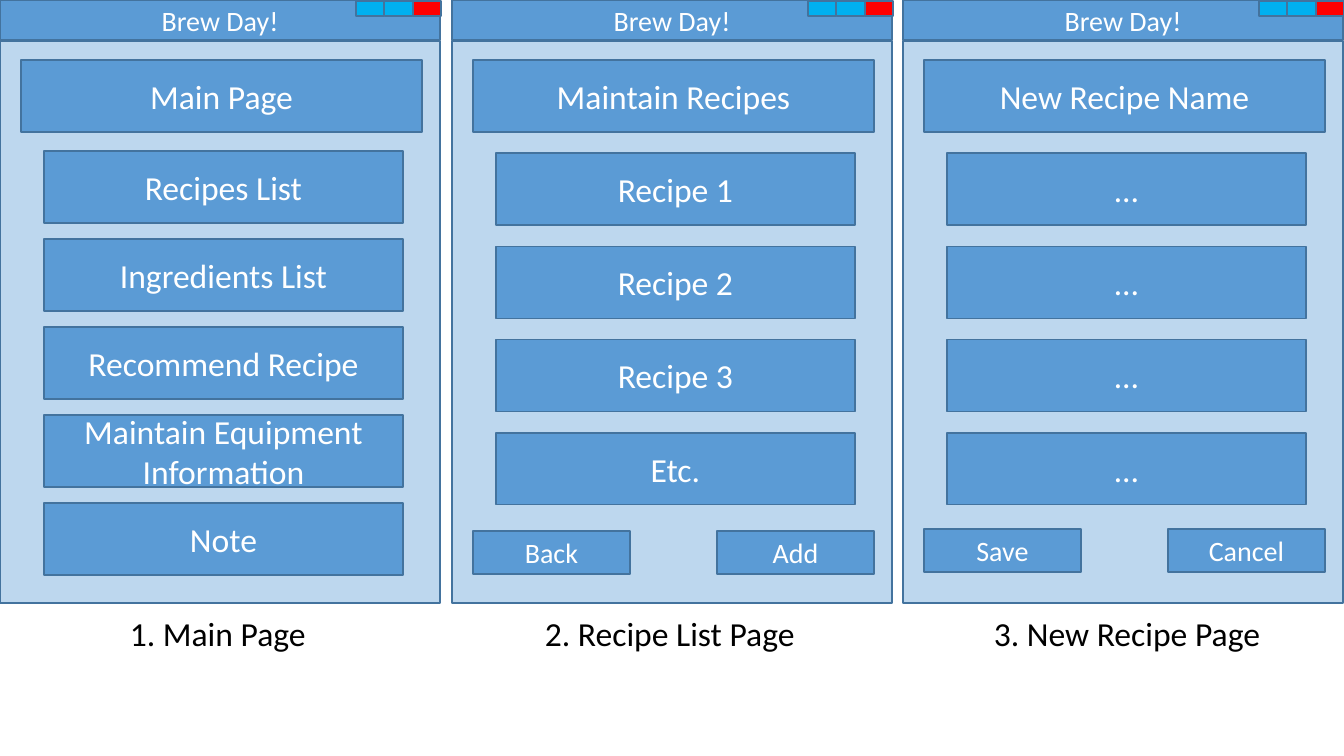
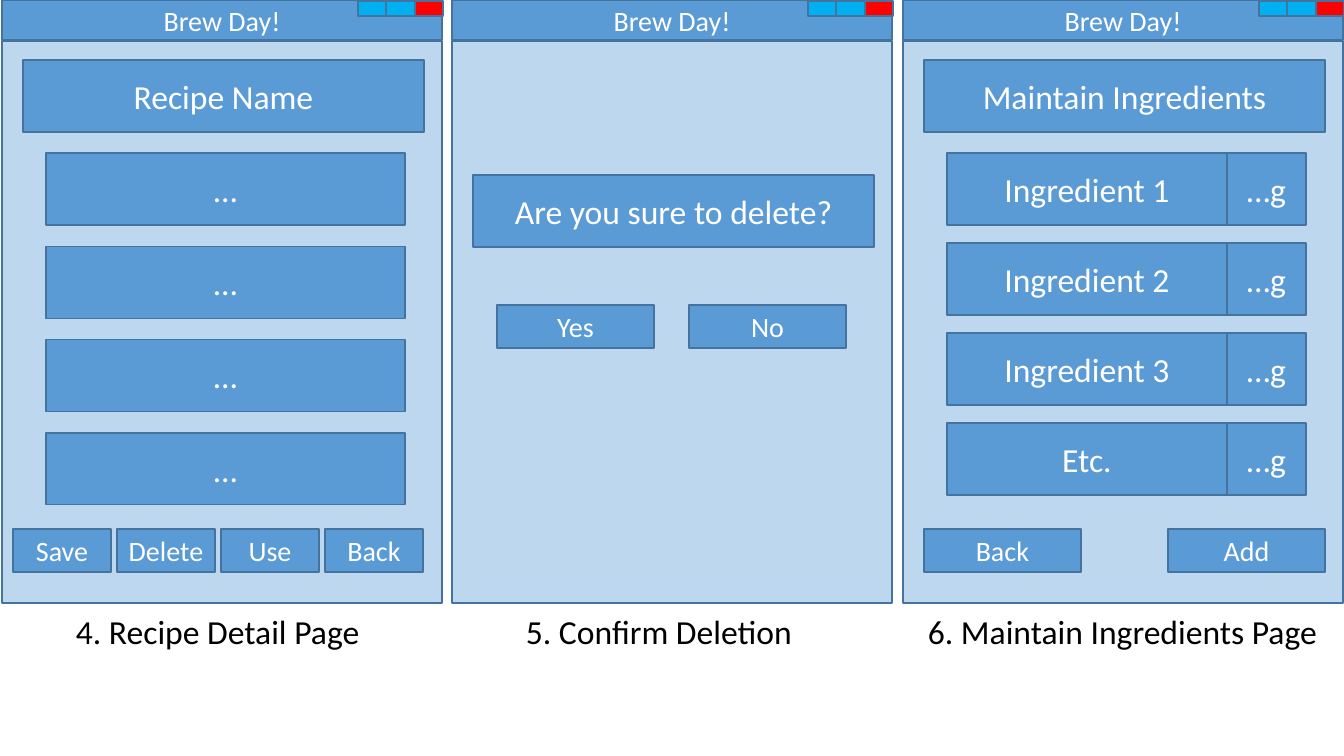
from pptx import Presentation
from pptx.dml.color import RGBColor
from pptx.enum.shapes import MSO_SHAPE
from pptx.enum.text import MSO_ANCHOR, PP_ALIGN
from pptx.util import Emu, Pt

# Shared style
FONT = "Calibri"
BLUE, PALE, OUTLINE = "5B9BD5", "BDD7EE", "43739E"
CYAN, RED, WHITE, BLACK = "00B0F0", "FF0000", "FFFFFF", "000000"
LARGE, SMALL = 24, 20

# Shared page geometry, in pixels
PAGE_WIDTH = 440
HEADING_LEFT, HEADING_WIDTH = 21, 401
ROW_LEFT, ROW_WIDTH, BOX_HEIGHT = 44, 359, 72
AMOUNT_WIDTH = 79
BUTTON_WIDTH, BUTTON_HEIGHT = 157, 43


def px(value):
    return Emu(round(value * 914400 / 100.8))


def color(hex_string):
    return RGBColor.from_string(hex_string)


def write(shape, text, size, text_color, align):
    frame = shape.text_frame
    frame.word_wrap = True
    frame.text = text
    paragraph = frame.paragraphs[0]
    paragraph.alignment = align
    font = paragraph.runs[0].font
    font.name = FONT
    font.size = Pt(size)
    font.color.rgb = color(text_color)


def add_box(slide, left, top, width, height, text="", size=LARGE, fill=BLUE):
    shape = slide.shapes.add_shape(
        MSO_SHAPE.RECTANGLE, px(left), px(top), px(width), px(height))
    shape.shadow.inherit = False
    shape.fill.solid()
    shape.fill.fore_color.rgb = color(fill)
    shape.line.color.rgb = color(OUTLINE)
    shape.line.width = Pt(1)
    if text:
        shape.text_frame.vertical_anchor = MSO_ANCHOR.MIDDLE
        write(shape, text, size, WHITE, PP_ALIGN.CENTER)


def add_window(slide, left):
    """Title bar, page background and the three window controls."""
    add_box(slide, left, 0, PAGE_WIDTH, 40, "Brew Day!", SMALL)
    add_box(slide, left, 41, PAGE_WIDTH, 562, fill=PALE)
    for index, fill in enumerate((CYAN, CYAN, RED)):
        add_box(slide, left + 356 + 28.5 * index, 1, 28, 15, fill=fill)


def add_heading(slide, left, text, top=60):
    add_box(slide, left + HEADING_LEFT, top, HEADING_WIDTH, BOX_HEIGHT, text)


def add_rows(slide, left, labels, top=153, pitch=93.3, amount=""):
    """Stacked rows, each with an optional amount cell at its right end."""
    label_width = ROW_WIDTH - AMOUNT_WIDTH if amount else ROW_WIDTH
    row_left = left + ROW_LEFT
    for index, label in enumerate(labels):
        row_top = top + pitch * index
        add_box(slide, row_left, row_top, label_width, BOX_HEIGHT, label)
        if amount:
            add_box(slide, row_left + label_width, row_top,
                    AMOUNT_WIDTH, BOX_HEIGHT, amount)


def add_buttons(slide, left, labels, start=HEADING_LEFT, top=529,
                pitch=244, width=BUTTON_WIDTH):
    for index, label in enumerate(labels):
        add_box(slide, left + start + pitch * index, top,
                width, BUTTON_HEIGHT, label, SMALL)


def add_caption(slide, left, top, width, text):
    box = slide.shapes.add_textbox(px(left), px(top), px(width), px(50))
    write(box, text, LARGE, BLACK, PP_ALIGN.LEFT)


def build_recipe_pages(slide):
    main_page, recipe_list, new_recipe = 0, 452, 903
    for left in (main_page, recipe_list, new_recipe):
        add_window(slide, left)

    # Main page
    add_heading(slide, main_page, "Main Page")
    add_rows(slide, main_page,
             ["Recipes List", "Ingredients List", "Recommend Recipe",
              "Maintain Equipment Information", "Note"], top=151, pitch=88)
    add_caption(slide, 120, 608, 210, "1. Main Page")

    # Recipe list
    add_heading(slide, recipe_list, "Maintain Recipes")
    add_rows(slide, recipe_list, ["Recipe 1", "Recipe 2", "Recipe 3", "Etc."])
    add_buttons(slide, recipe_list, ["Back", "Add"], top=531)
    add_caption(slide, 535, 608, 290, "2. Recipe List Page")

    # New recipe
    add_heading(slide, new_recipe, "New Recipe Name")
    add_rows(slide, new_recipe, ["…"] * 4)
    add_buttons(slide, new_recipe, ["Save", "Cancel"])
    add_caption(slide, 984, 608, 290, "3. New Recipe Page")


def build_detail_pages(slide):
    recipe_detail, deletion, ingredients = 2, 452, 903
    for left in (recipe_detail, deletion, ingredients):
        add_window(slide, left)

    # Recipe detail
    add_heading(slide, recipe_detail, "Recipe Name")
    add_rows(slide, recipe_detail, ["…"] * 4)
    add_buttons(slide, recipe_detail, ["Save", "Delete", "Use", "Back"],
                start=11, pitch=104, width=98)
    add_caption(slide, 66, 606, 312, "4. Recipe Detail Page")

    # Confirm deletion
    add_heading(slide, deletion, "Are you sure to delete?", top=175)
    add_buttons(slide, deletion, ["Yes", "No"], start=45, top=305, pitch=192)
    add_caption(slide, 516, 606, 312, "5. Confirm Deletion")

    # Maintain ingredients
    add_heading(slide, ingredients, "Maintain Ingredients")
    add_rows(slide, ingredients,
             ["Ingredient 1", "Ingredient 2", "Ingredient 3", "Etc."],
             pitch=90, amount="…g")
    add_buttons(slide, ingredients, ["Back", "Add"])
    add_caption(slide, 918, 606, 418, "6. Maintain Ingredients Page")


def main():
    presentation = Presentation()
    presentation.slide_width = px(1344)
    presentation.slide_height = px(756)
    blank_layout = presentation.slide_layouts[6]
    for build in (build_recipe_pages, build_detail_pages):
        build(presentation.slides.add_slide(blank_layout))
    presentation.save("out.pptx")


main()
